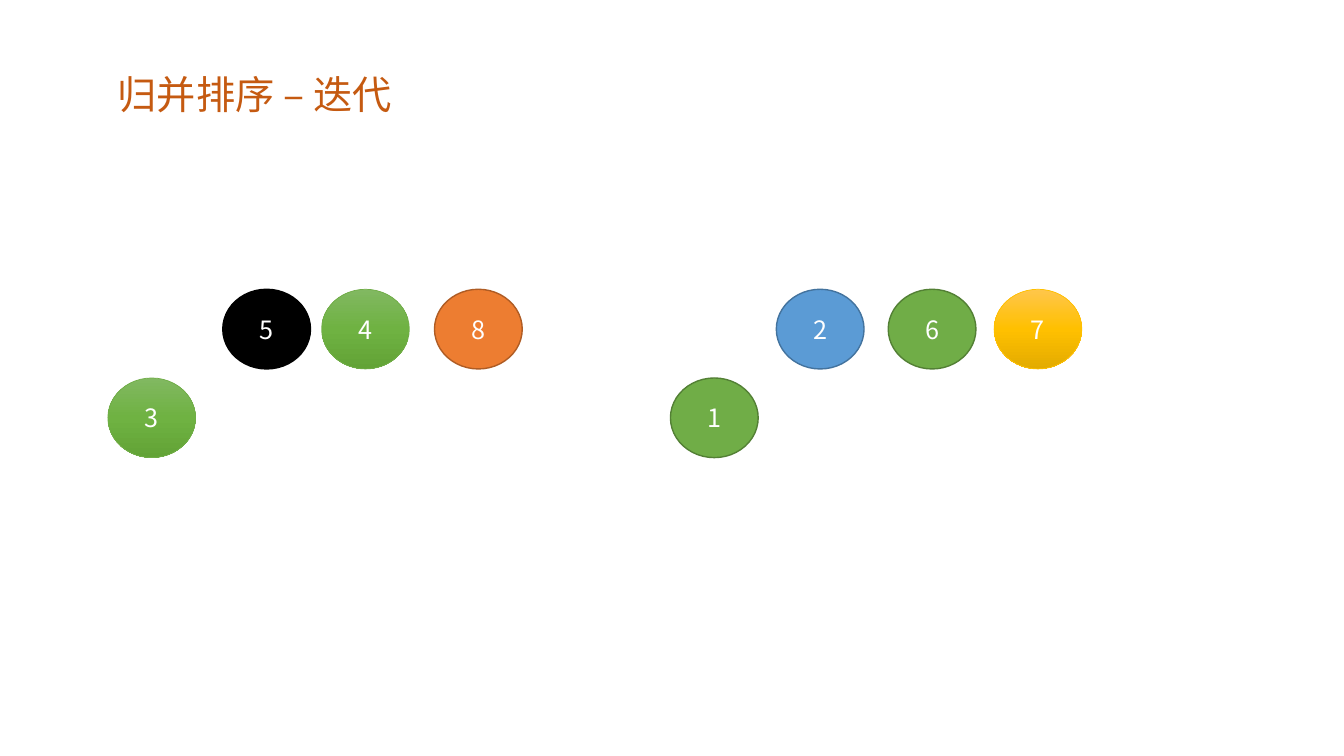
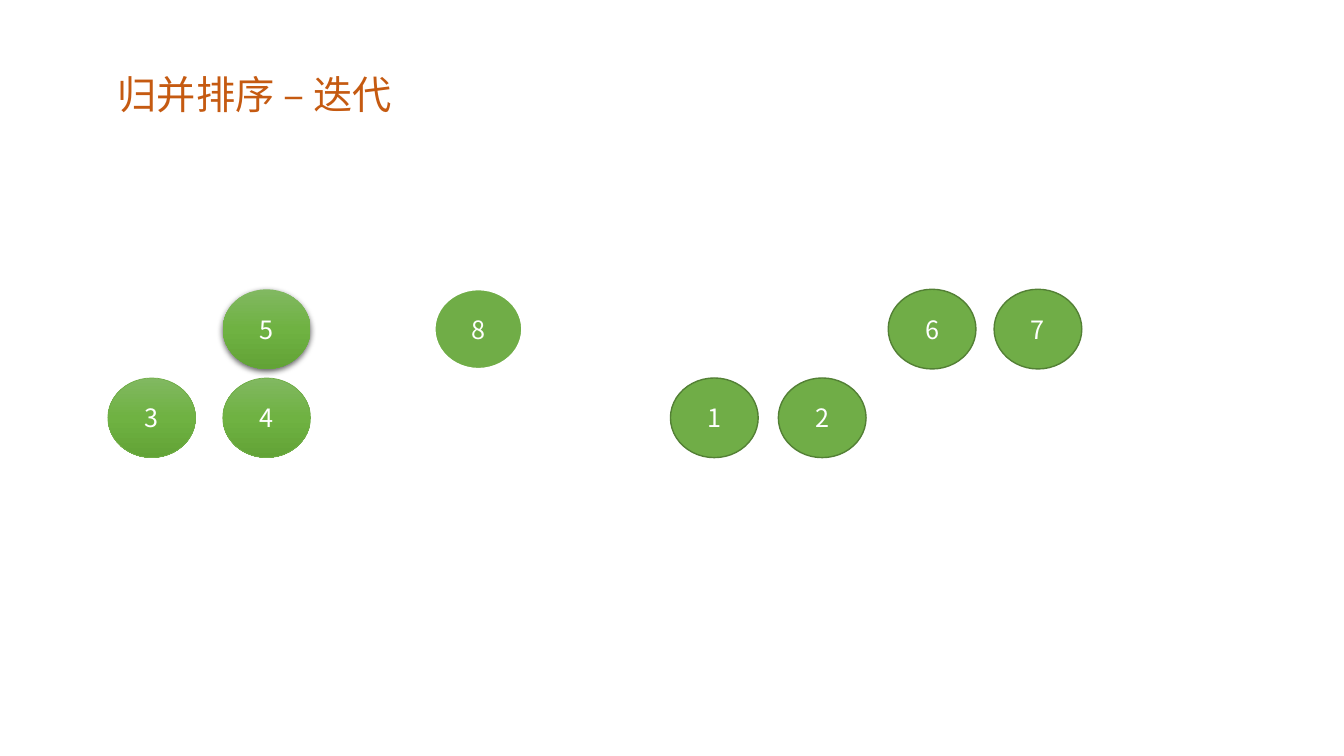
from copy import deepcopy

from lxml.etree import SubElement
from pptx import Presentation
from pptx.dml.color import RGBColor
from pptx.enum.shapes import MSO_SHAPE
from pptx.enum.text import MSO_ANCHOR, MSO_AUTO_SIZE, PP_ALIGN
from pptx.oxml.ns import qn
from pptx.util import Inches, Pt

BLACK = RGBColor(0x00, 0x00, 0x00)
WHITE = RGBColor(0xFF, 0xFF, 0xFF)
RUST = RGBColor(0xC5, 0x5A, 0x11)
ORANGE = RGBColor(0xED, 0x7D, 0x31)
DARK_ORANGE = RGBColor(0xAF, 0x5C, 0x24)
BLUE = RGBColor(0x5B, 0x9B, 0xD5)
DARK_BLUE = RGBColor(0x43, 0x73, 0x9E)
GREEN = RGBColor(0x70, 0xAD, 0x47)
DARK_GREEN = RGBColor(0x53, 0x80, 0x35)
GOLD = RGBColor(0xFF, 0xC0, 0x00)
GREEN_FADE = (RGBColor(0x81, 0xB8, 0x61), RGBColor(0x6F, 0xB2, 0x42), RGBColor(0x62, 0xA3, 0x36))
GOLD_FADE = (RGBColor(0xFF, 0xC6, 0x4B), GOLD, RGBColor(0xE3, 0xAB, 0x00))

TITLE = "归并排序 – 迭代"
TITLE_FONT = "Arial"
BALL_FONT = "Noto Sans CJK SC"
BALL_WIDTH, BALL_HEIGHT = 0.87, 0.79
WAITING, MERGED = 2.87, 3.75  # tops of the two rows

# Ball styles: colours of the fill, line colour, line width, shadow
STYLES = {
    "black": ((BLACK,), BLACK, 1, False),
    "orange": ((ORANGE,), DARK_ORANGE, 1, False),
    "blue": ((BLUE,), DARK_BLUE, 1, False),
    "green": ((GREEN,), DARK_GREEN, 1, False),
    "white rim": ((GREEN,), WHITE, 1.5, False),
    "green fade": (GREEN_FADE, GREEN, 0.5, False),
    "gold fade": (GOLD_FADE, GOLD, 0.5, False),
    "raised": (GREEN_FADE, None, 0, True),
}

# Each step of the merge: number, left, row, style
STEPS = [
    [
        ("5", 2.21, WAITING, "black"),
        ("3", 1.07, MERGED, "green fade"),
        ("8", 4.31, WAITING, "orange"),
        ("4", 3.19, WAITING, "green fade"),
        ("2", 7.70, WAITING, "blue"),
        ("1", 6.65, MERGED, "green"),
        ("7", 9.86, WAITING, "gold fade"),
        ("6", 8.81, WAITING, "green"),
    ],
    [
        ("5", 2.21, WAITING, "raised"),
        ("3", 1.07, MERGED, "green fade"),
        ("8", 4.31, WAITING, "white rim"),
        ("4", 2.21, MERGED, "green fade"),
        ("2", 7.72, MERGED, "green"),
        ("1", 6.65, MERGED, "green"),
        ("7", 9.86, WAITING, "green"),
        ("6", 8.81, WAITING, "green"),
    ],
]


def write(frame, text, font, size, colour):
    """Put one formatted run in a text frame and return its paragraph."""
    frame.text = text
    para = frame.paragraphs[0]
    span = para.runs[0]
    span.font.name = font
    span.font.size = Pt(size)
    span.font.color.rgb = colour
    SubElement(span.font._element, qn("a:ea")).set("typeface", BALL_FONT)
    return para


def paint(shape, colours):
    """Fill a shape with one colour, or fade evenly from top to bottom."""
    fill = shape.fill
    if len(colours) == 1:
        fill.solid()
        fill.fore_color.rgb = colours[0]
        return
    fill.gradient()
    fill.gradient_angle = 270
    stop_list = shape._element.spPr.find(qn("a:gradFill")).find(qn("a:gsLst"))
    while len(stop_list) < len(colours):
        stop_list.append(deepcopy(stop_list[-1]))
    for index, (stop, colour) in enumerate(zip(fill.gradient_stops, colours)):
        stop.position = index / (len(colours) - 1)
        stop.color.rgb = colour


def cast_shadow(shape):
    """Add a soft black shadow just below a shape."""
    effects = shape._element.spPr.find(qn("a:effectLst"))
    shadow = SubElement(effects, qn("a:outerShdw"), blurRad=str(Pt(4.5)),
                        dist=str(Pt(1.5)), dir="5400000", algn="ctr", rotWithShape="0")
    colour = SubElement(shadow, qn("a:srgbClr"), val=str(BLACK))
    SubElement(colour, qn("a:alpha"), val="63000")


def add_ball(page, number, left, top, style):
    """Draw one numbered ball."""
    colours, line_colour, line_width, raised = STYLES[style]
    ball = page.shapes.add_shape(MSO_SHAPE.OVAL, Inches(left), Inches(top),
                                 Inches(BALL_WIDTH), Inches(BALL_HEIGHT))
    ball.shadow.inherit = False
    paint(ball, colours)
    if line_colour is None:
        ball.line.fill.background()
    else:
        ball.line.color.rgb = line_colour
        ball.line.width = Pt(line_width)
    if raised:
        cast_shadow(ball)
    ball.text_frame.vertical_anchor = MSO_ANCHOR.MIDDLE
    write(ball.text_frame, number, BALL_FONT, 18, WHITE).alignment = PP_ALIGN.CENTER


def add_title(page):
    """Write the title that all slides share."""
    box = page.shapes.add_textbox(Inches(1.07), Inches(0.65), Inches(3.15), Inches(0.57))
    box.text_frame.word_wrap = False
    box.text_frame.auto_size = MSO_AUTO_SIZE.SHAPE_TO_FIT_TEXT
    write(box.text_frame, TITLE, TITLE_FONT, 28, RUST)


deck = Presentation()
deck.slide_width, deck.slide_height = Inches(13.33), Inches(7.5)
for balls in STEPS:
    page = deck.slides.add_slide(deck.slide_layouts[6])
    for ball in balls:
        add_ball(page, *ball)
    add_title(page)
deck.save("out.pptx")
